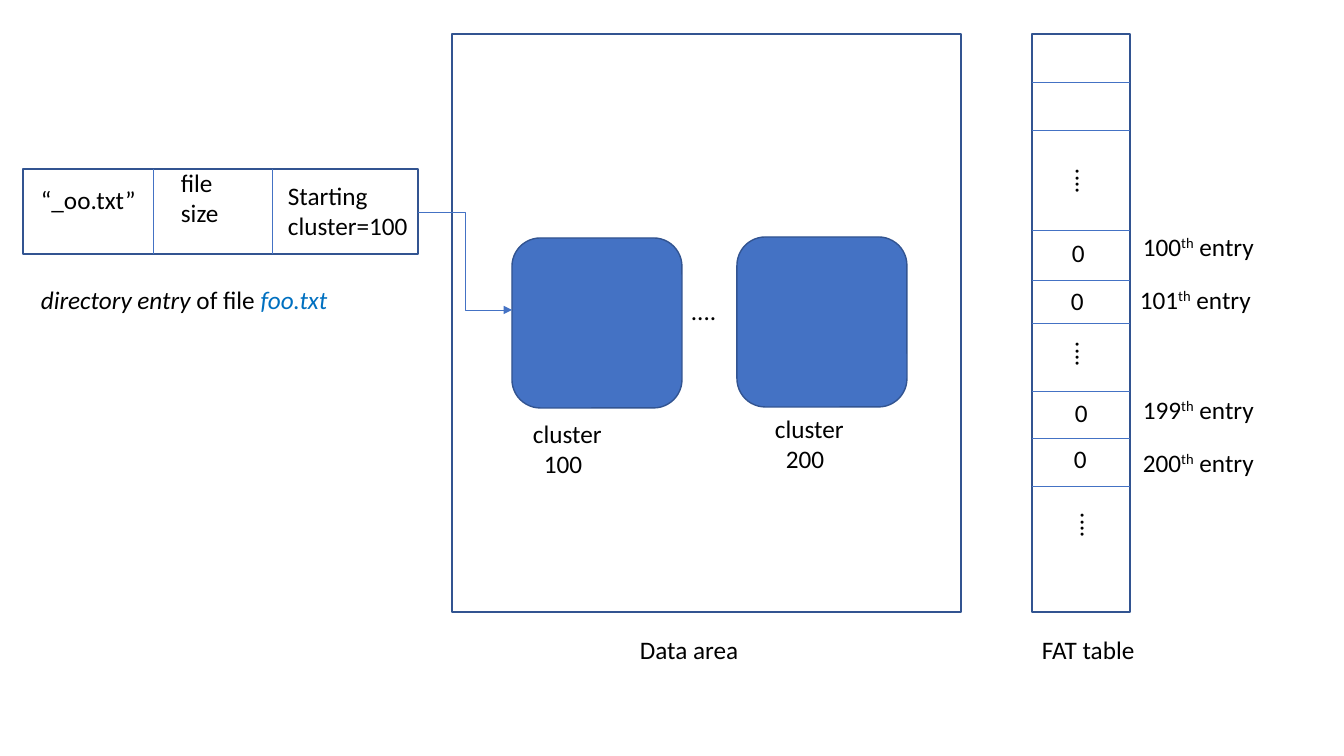
from dataclasses import dataclass

from lxml import etree
from pptx import Presentation
from pptx import util as u
from pptx.dml import color
from pptx.enum import shapes
from pptx.oxml import ns


@dataclass
class Theme:
    fill: str = "4472C4"
    outline: str = "325491"
    ink: str = "000000"
    highlight: str = "0070C0"
    font: str = "Calibri"
    size: int = 18
    outline_width: float = 1
    line_width: float = 0.5


theme = Theme()
EMU_PER_PIXEL = 914400 / 100.8


def emu(*pixels):
    return [u.Emu(round(pixel * EMU_PER_PIXEL)) for pixel in pixels]


def add_label(box, lines, rotation=0):
    """Each line is a list of (text, style) runs."""
    label = slide.shapes.add_textbox(*emu(*box))
    label.rotation = rotation
    frame = label.text_frame
    frame.word_wrap = True
    frame.margin_right = 0
    frame.text = "\n" * (len(lines) - 1)
    for paragraph, runs in zip(frame.paragraphs, lines):
        for content, style in runs:
            run = paragraph.add_run()
            run.text = content
            run.font.name = theme.font
            run.font.size = u.Pt(theme.size)
            run.font.italic = "italic" in style
            ink = theme.highlight if "highlight" in style else theme.ink
            run.font.color.rgb = color.RGBColor.from_string(ink)
            if "superscript" in style:
                run.font._element.set("baseline", "30000")
    return frame


presentation = Presentation()
presentation.slide_width, presentation.slide_height = emu(1344, 756)
slide = presentation.slides.add_slide(presentation.slide_layouts[6])

# Frames and clusters
RECTANGLE = shapes.MSO_SHAPE.RECTANGLE
ROUNDED = shapes.MSO_SHAPE.ROUNDED_RECTANGLE
for kind, box in [
    (RECTANGLE, (23, 169, 395, 85)),     # directory entry
    (RECTANGLE, (1032, 34, 98, 578)),    # FAT table
    (RECTANGLE, (452, 34, 509, 578)),    # data area
    (ROUNDED, (512, 238, 170, 170)),     # cluster 100
    (ROUNDED, (737, 237, 170, 170)),     # cluster 200
]:
    shape = slide.shapes.add_shape(kind, *emu(*box))
    shape.shadow.inherit = False
    shape.line.color.rgb = color.RGBColor.from_string(theme.outline)
    shape.line.width = u.Pt(theme.outline_width)
    if kind == ROUNDED:
        shape.fill.solid()
        shape.fill.fore_color.rgb = color.RGBColor.from_string(theme.fill)
    else:
        shape.fill.background()

# Row lines, column lines and the pointer to the starting cluster
STRAIGHT = shapes.MSO_CONNECTOR.STRAIGHT
ELBOW = shapes.MSO_CONNECTOR.ELBOW
fat_rows = [82, 130, 230, 280, 323, 391, 438, 486]
connections = [(STRAIGHT, (1032, y, 1130, y)) for y in fat_rows]
connections += [(STRAIGHT, (x, 169, x, 254)) for x in (153, 272)]
connections.append((ELBOW, (418, 212, 512, 310)))
for kind, ends in connections:
    connector = slide.shapes.add_connector(kind, *emu(*ends))
    connector.line.color.rgb = color.RGBColor.from_string(theme.fill)
    connector.line.width = u.Pt(theme.line_width)
    if kind == ELBOW:
        line = connector.line._get_or_add_ln()
        etree.SubElement(line, ns.qn("a:tailEnd"), type="triangle")
    etree.SubElement(connector._element.spPr, ns.qn("a:effectLst"))

# Directory entry texts
add_label((31, 179, 116, 40), [[("“_oo.txt”", "")]])
add_label((171, 162, 82, 102), [[("file", "")], [("size", "")]])
add_label((278, 175, 141, 72), [[("Starting", "")], [("cluster=100", "")]])
add_label((31, 279, 310, 40), [[("directory entry", "italic"), (" of file ", ""),
                                ("foo.txt", "italic highlight")]])

# Cluster captions, with the number indented
for number, left, top in [("100", 523, 413), ("200", 765, 408)]:
    caption = add_label((left, top, 126, 102), [[("cluster", "")], [(number, "")]])
    properties = caption.paragraphs[1]._p.get_or_add_pPr()
    properties.set("marL", str(emu(11)[0]))

# Ellipses between clusters and in the FAT table
add_label((681, 290, 65, 58), [[("....", "")]])
for left, top in [(1045, 164), (1045, 337), (1050, 508)]:
    add_label((left, top, 66, 56), [[("....", "")]], rotation=90)

# FAT entries: value in the table and name beside it
for number, name_left, name_top, value_left, value_top in [
    ("100", 1133, 226, 1062, 232),
    ("101", 1130, 279, 1061, 280),
    ("199", 1133, 389, 1065, 392),
    ("200", 1133, 442, 1064, 438),
]:
    add_label((value_left, value_top, 33, 40), [[("0", "")]])
    add_label((name_left, name_top, 187, 58),
              [[(number, ""), ("th", "superscript"), (" entry", "")]])

# Area captions
add_label((630, 629, 167, 58), [[("Data area", "")]])
add_label((1032, 629, 114, 40), [[("FAT table", "")]])

presentation.save("out.pptx")
